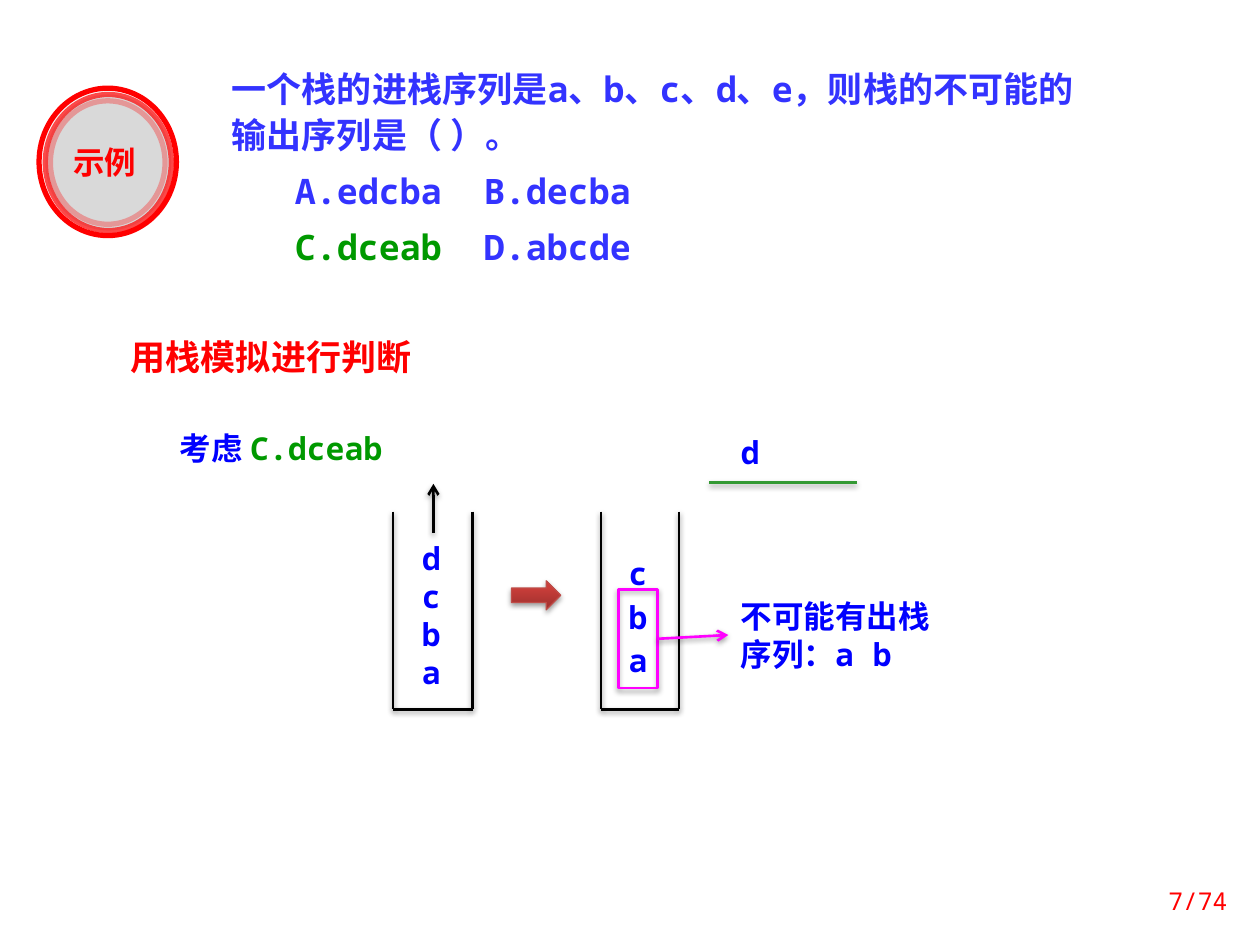
"""Build the slide on impossible stack output sequences."""
import dataclasses
import typing

import lxml.etree
import pptx
import pptx.dml.color
import pptx.enum.shapes
import pptx.enum.text
import pptx.oxml.ns
import pptx.util

PX = 9144
MONO, SANS = "Noto Sans Mono", "Noto Sans CJK SC"
BLUE, INDIGO, GREEN, RED = "0000FF", "3333FF", "009900", "FF0000"
BLACK, MAGENTA = "000000", "FF00FF"
SHAPE = pptx.enum.shapes.MSO_SHAPE
ALIGN = pptx.enum.text.PP_ALIGN
ANCHOR = pptx.enum.text.MSO_ANCHOR
Box = tuple[int, int, int, int]


@dataclasses.dataclass
class Run:
    text: str
    color: str
    font: str = MONO


@dataclasses.dataclass
class Label:
    box: Box
    paragraphs: list[list[Run]]
    size: int = 18
    bold: bool = True
    align: typing.Any = ALIGN.LEFT
    anchor: typing.Any = ANCHOR.TOP
    leading: typing.Any = 1.0
    space: int = 0
    margins: tuple[int, int] = (10, 5)


@dataclasses.dataclass
class Line:
    start: tuple[int, int]
    end: tuple[int, int]
    color: str = BLACK
    arrow: bool = False


@dataclasses.dataclass
class Ring:
    box: Box
    fill: str | None
    opacity: int


def emu(values: typing.Iterable[int]) -> list[int]:
    return [v * PX for v in values]


def rgb(color: str) -> pptx.dml.color.RGBColor:
    return pptx.dml.color.RGBColor.from_string(color)


def child(parent, tag: str, **attrs: typing.Any):
    element = lxml.etree.SubElement(parent, pptx.oxml.ns.qn(tag))
    for name, value in attrs.items():
        element.set(name, str(value))
    return element


def set_line(s, color: str, width: float, opacity: int = 100) -> None:
    s.line.color.rgb = rgb(color)
    s.line.width = pptx.util.Pt(width)
    if opacity < 100:
        clr = s.line._get_or_add_ln().find(".//" + pptx.oxml.ns.qn("a:srgbClr"))
        child(clr, "a:alpha", val=opacity * 1000)


def add_shadow(s) -> None:
    effects = child(s._element.spPr, "a:effectLst")
    shadow = child(effects, "a:outerShdw", blurRad=39370, dist=20320,
                   dir=5400000, rotWithShape=0)
    child(child(shadow, "a:srgbClr", val=BLACK), "a:alpha", val=38000)


def draw_line(slide, line: Line) -> None:
    s = slide.shapes.add_connector(pptx.enum.shapes.MSO_CONNECTOR.STRAIGHT,
                                   *emu(line.start + line.end))
    set_line(s, line.color, 1.5)
    if line.arrow:
        child(s.line._get_or_add_ln(), "a:tailEnd", type="arrow")
    add_shadow(s)


def draw_ring(slide, ring: Ring) -> None:
    s = slide.shapes.add_shape(SHAPE.OVAL, *emu(ring.box))
    s.shadow.inherit = False
    if ring.fill:
        s.fill.solid()
        s.fill.fore_color.rgb = rgb(ring.fill)
    else:
        s.fill.background()
    set_line(s, RED, 3, ring.opacity)


def draw_label(slide, label: Label) -> list:
    tf = slide.shapes.add_textbox(*emu(label.box)).text_frame
    tf.word_wrap = True
    tf.vertical_anchor = label.anchor
    tf.margin_left = tf.margin_right = label.margins[0] * PX
    tf.margin_top = tf.margin_bottom = label.margins[1] * PX
    for i, runs in enumerate(label.paragraphs):
        p = tf.add_paragraph() if i else tf.paragraphs[0]
        p.alignment = label.align
        p.line_spacing = label.leading
        p.space_before = pptx.util.Pt(label.space if i else 0)
        for run in runs:
            r = p.add_run()
            r.text = run.text
            r.font.size = pptx.util.Pt(label.size)
            r.font.bold = label.bold
            r.font.name = run.font
            r.font.color.rgb = rgb(run.color)
            child(r.font._element, "a:ea", typeface=SANS)
    return list(tf.paragraphs)


def indent_options(paragraphs: list) -> None:
    for p in paragraphs:
        ppr = p._p.get_or_add_pPr()
        ppr.set("marL", "0")
        ppr.set("indent", str(50 * PX))
        child(child(ppr, "a:tabLst"), "a:tab", pos=300 * PX, algn="l")


def draw_stack(slide, left: int, right: int) -> None:
    top, bottom = 406, 563
    for start, end in (((left, top), (left, bottom)),
                       ((right, top), (right, bottom)),
                       ((left, bottom), (right, bottom))):
        draw_line(slide, Line(start, end))


def draw_block_arrow(slide) -> None:
    s = slide.shapes.add_shape(SHAPE.RIGHT_ARROW, *emu((406, 461, 39, 23)))
    s.fill.gradient()
    s.fill.gradient_angle = 90
    for stop, color, position in zip(s.fill.gradient_stops,
                                     ("9C2F2D", "CB3E3A"), (0, 0.8)):
        stop.color.rgb = rgb(color)
        stop.position = position
    set_line(s, "BF4C48", 0.75)
    add_shadow(s)


def draw_highlight(slide) -> None:
    s = slide.shapes.add_shape(SHAPE.RECTANGLE, *emu((491, 468, 31, 78)))
    s.fill.background()
    set_line(s, MAGENTA, 1.5)
    add_shadow(s)


def main() -> None:
    prs = pptx.Presentation()
    prs.slide_width, prs.slide_height = emu((1000, 750))
    slide = prs.slides.add_slide(prs.slide_layouts[6])
    pt = pptx.util.Pt

    question = Label((164, 39, 719, 187), [
        [Run("一个栈的进栈序列是a、b、c、d、e，则栈的不可能的输出序列是（ ）。", INDIGO)],
        [Run("A.edcba\tB.decba", INDIGO)],
        [Run("C.dceab", GREEN), Run("\tD.abcde", INDIGO)],
    ], size=20, leading=pt(26), space=6, margins=(20, 12))
    indent_options(draw_label(slide, question)[1:])

    for ring in (Ring((31, 70, 109, 117), "F8F8F8", 100),
                 Ring((36, 75, 100, 108), "D9D9D9", 70),
                 Ring((40, 80, 91, 98), None, 30)):
        draw_ring(slide, ring)

    draw_stack(slide, 312, 375)
    draw_stack(slide, 477, 539)
    draw_block_arrow(slide)
    draw_highlight(slide)
    for line in (Line((344, 423), (344, 384), arrow=True),
                 Line((563, 383), (680, 383), "339933"),
                 Line((522, 507), (578, 504), MAGENTA, True)):
        draw_line(slide, line)

    for label in (
        Label((43, 114, 80, 34), [[Run("示例", RED, SANS)]],
              align=ALIGN.CENTER, leading=0.8),
        Label((94, 261, 398, 44), [[Run("用栈模拟进行判断", RED, SANS)]], size=20),
        Label((133, 336, 195, 40),
              [[Run("考虑 ", BLUE, SANS), Run("C.dceab", GREEN)]]),
        Label((325, 423, 39, 131), [[Run(item, BLUE)] for item in "dcba"]),
        Label((489, 430, 39, 113), [[Run(item, BLUE)] for item in "cba"],
              leading=pt(25)),
        Label((578, 327, 39, 48), [[Run("d", BLUE)]], leading=pt(30)),
        Label((578, 469, 180, 71), [[Run("不可能有出栈序列：a b", BLUE)]]),
        Label((886, 695, 98, 40), [[Run("7/74", RED)]], size=14, bold=False,
              align=ALIGN.RIGHT, anchor=ANCHOR.MIDDLE),
    ):
        draw_label(slide, label)

    prs.save("out.pptx")


if __name__ == "__main__":
    main()
